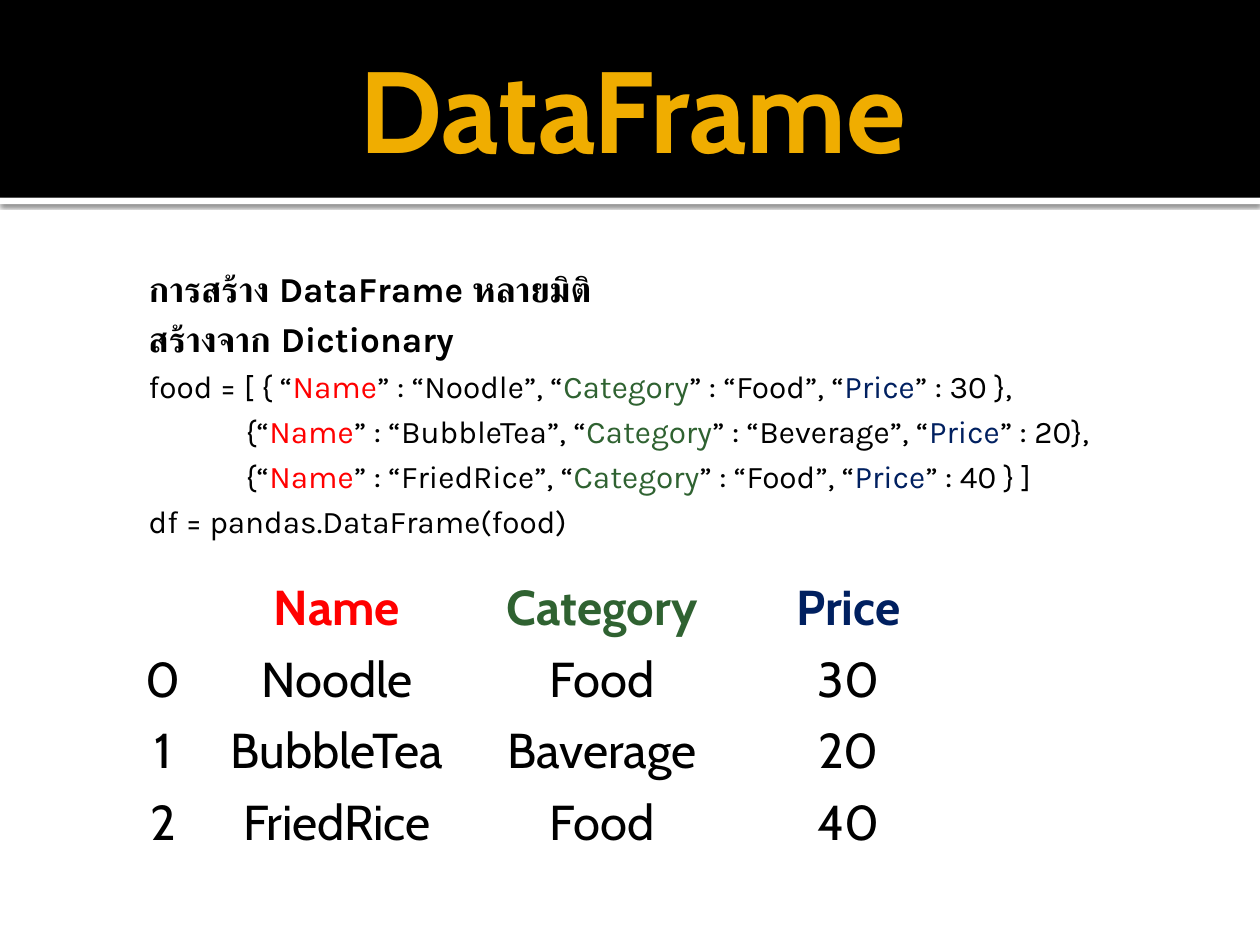
from lxml import etree
from pptx import Presentation
from pptx.dml.color import RGBColor
from pptx.enum.shapes import MSO_SHAPE
from pptx.enum.text import MSO_ANCHOR, PP_ALIGN
from pptx.oxml.ns import qn
from pptx.util import Inches, Pt

RECTANGLE = MSO_SHAPE.RECTANGLE
TOP, MIDDLE = MSO_ANCHOR.TOP, MSO_ANCHOR.MIDDLE
CENTER = PP_ALIGN.CENTER

BLACK, WHITE, GOLD = "000000", "FFFFFF", "F0AD00"
FIELD_COLORS = {"Name": "FF0000", "Category": "2F6231", "Price": "002060"}
BASE_INDENT, RECORD_INDENT = 0.22, 0.99

HEADINGS = ["การสร้าง DataFrame หลายมิติ", "สร้างจาก Dictionary"]
RECORDS = [
    (BASE_INDENT, "food = [ { “", "Noodle", "Food", "” : 30 },"),
    (RECORD_INDENT, "{“", "BubbleTea", "Beverage", "” : 20},"),
    (RECORD_INDENT, "{“", "FriedRice", "Food", "” : 40 } ]"),
]
ROWS = [
    ["", *FIELD_COLORS],
    ["0", "Noodle", "Food", "30"],
    ["1", "BubbleTea", "Baverage", "20"],
    ["2", "FriedRice", "Food", "40"],
]


def rgb(value):
    return RGBColor.from_string(value)


def add_run(paragraph, text, font, size, color=BLACK, bold=False):
    run = paragraph.add_run()
    run.text = text
    run.font.name = font
    run.font.size = Pt(size)
    run.font.bold = bold
    run.font.color.rgb = rgb(color)


def add_band(slide, box, color):
    band = slide.shapes.add_shape(RECTANGLE, *map(Inches, box))
    band.shadow.inherit = False
    band.fill.solid()
    band.fill.fore_color.rgb = rgb(color)
    band.line.fill.background()
    return band


def cast_shadow(band):
    effects = band.element.spPr.find(qn("a:effectLst"))
    shadow = etree.SubElement(
        effects, qn("a:outerShdw"), blurRad=str(Pt(2.5)), dist=str(Pt(0.8)),
        dir="5400000", algn="t", rotWithShape="0")
    tint = etree.SubElement(shadow, qn("a:srgbClr"), val=BLACK)
    etree.SubElement(tint, qn("a:alpha"), val="60000")


def add_text_frame(slide, box, insets, anchor):
    frame = slide.shapes.add_textbox(*map(Inches, box)).text_frame
    frame.word_wrap = True
    frame.vertical_anchor = anchor
    (frame.margin_left, frame.margin_top,
     frame.margin_right, frame.margin_bottom) = map(Inches, insets)
    return frame


def add_header(slide, box):
    left, top, width, height = box
    cast_shadow(add_band(slide, (left, top + height, width, 0.05), WHITE))
    add_band(slide, box, BLACK)
    frame = add_text_frame(slide, (left + 0.5, top + 0.17, width - 1, 1.37),
                           (0.1, 0.05, 0.05, 0.05), MIDDLE)
    title = frame.paragraphs[0]
    title.alignment = CENTER
    add_run(title, "DataFrame", "Cabin", 66, GOLD, True)


def add_code(slide, box):
    frame = add_text_frame(slide, box, (0.06, 0.1, 0.1, 0.05), TOP)
    lines = [(BASE_INDENT, 20, [heading]) for heading in HEADINGS]
    for indent, opening, name, category, closing in RECORDS:
        lines.append((indent, 18, [
            opening, "Name", f"” : “{name}”, “", "Category",
            f"” : “{category}”, “", "Price", closing]))
    lines.append((BASE_INDENT, 18, ["df = pandas.DataFrame(food)"]))

    for index, (indent, size, pieces) in enumerate(lines):
        line = frame.add_paragraph() if index else frame.paragraphs[0]
        line.space_before = Pt(round(size * 0.234, 1))
        properties = line._p.get_or_add_pPr()
        properties.set("marL", str(Inches(indent)))
        properties.set("indent", "0")
        for piece in pieces:
            add_run(line, piece, "Karla", size,
                    FIELD_COLORS.get(piece, BLACK), size == 20)


def add_food_table(slide, box):
    table = slide.shapes.add_table(
        len(ROWS), len(ROWS[0]), *map(Inches, box)).table
    for column, width in zip(table.columns, (0.79, 1.97, 2.24, 1.67)):
        column.width = Inches(width)
    for row_index, values in enumerate(ROWS):
        for column_index, value in enumerate(values):
            cell = table.cell(row_index, column_index)
            cell.fill.background()
            if value:
                paragraph = cell.text_frame.paragraphs[0]
                paragraph.alignment = CENTER
                add_run(paragraph, value, "Cabin", 28,
                        FIELD_COLORS.get(value, BLACK), row_index == 0)


def main():
    deck = Presentation()
    deck.slide_width, deck.slide_height = Inches(10), Inches(7.5)
    slide = deck.slides.add_slide(deck.slide_layouts[6])
    add_header(slide, (0, 0, 10, 1.57))
    add_code(slide, (0.9, 2.02, 8.35, 2.44))
    add_food_table(slide, (0.9, 4.54, 6.67, 1.62))
    deck.save("out.pptx")


if __name__ == "__main__":
    main()
